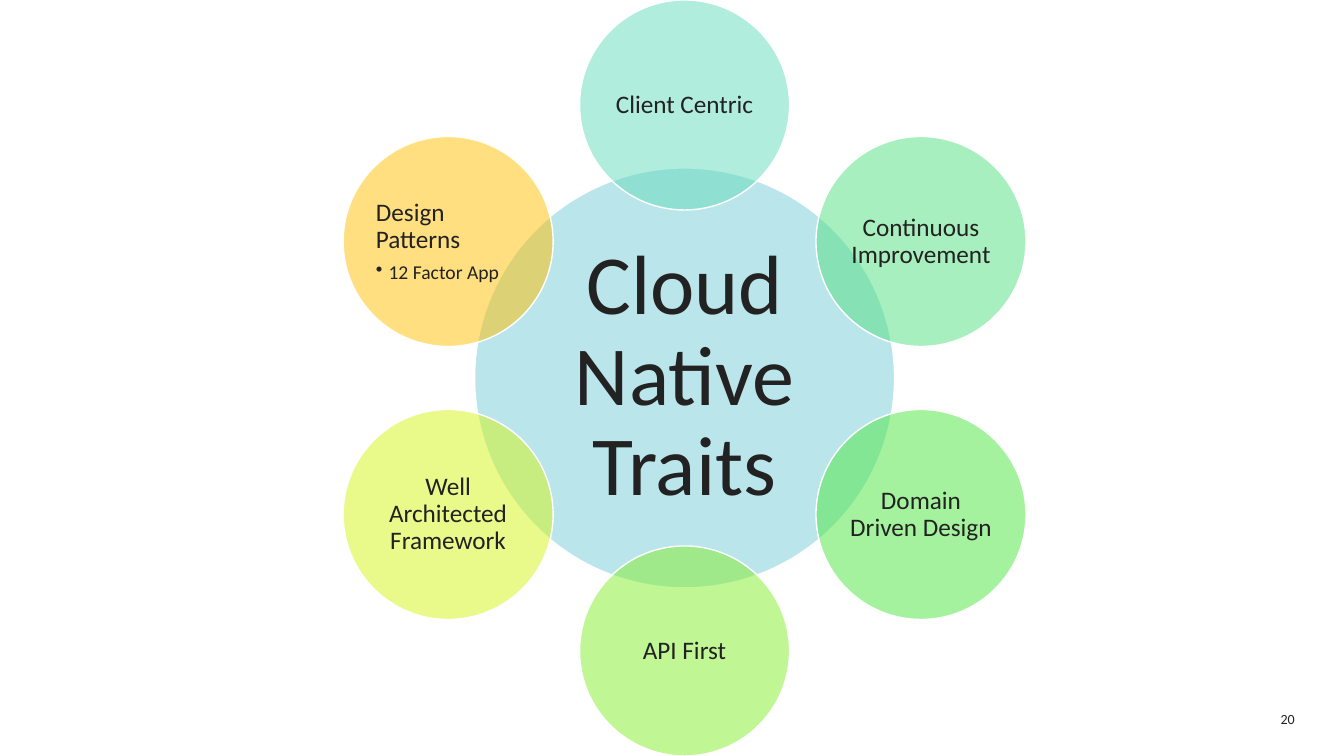
from math import cos, radians, sin

from pptx import Presentation
from pptx.dml.color import RGBColor
from pptx.enum.shapes import MSO_SHAPE as Shape
from pptx.enum.text import MSO_ANCHOR as Anchor, PP_ALIGN as Align
from pptx.oxml.ns import qn
from pptx.util import Pt
from lxml.etree import SubElement

PX = 9525
FONT, INK, WHITE = "Calibri", "222222", "FFFFFF"
CENTER_X, CENTER_Y, ORBIT = 652, 360, 260
HUB_SIZE, TRAIT_SIZE = 400, 200
TRAITS = [
    ("Client Centric", "65DCBB"),
    ("Continuous Improvement", "53E181"),
    ("Domain Driven Design", "4BE73F"),
    ("API First", "85EE2B"),
    ("Well Architected Framework", "D5F616"),
    ("Design Patterns", "FFC000"),
]


def px(*lengths):
    """Turn pixel lengths into EMU."""
    return [round(length * PX) for length in lengths]


def color(value):
    """Turn a hex string into a colour."""
    return RGBColor.from_string(value)


def set_frame(frame, inset):
    """Wrap and centre a text frame vertically with equal insets."""
    frame.word_wrap = True
    frame.vertical_anchor = Anchor.MIDDLE
    edge, = px(inset)
    frame.margin_left = frame.margin_right = edge
    frame.margin_top = frame.margin_bottom = edge


def write(para, text, size, align=Align.CENTER, spacing=0.9):
    """Fill a paragraph with one styled run."""
    para.alignment = align
    para.line_spacing = spacing
    span = para.add_run()
    span.text = text
    span.font.name, span.font.size = FONT, Pt(size)
    span.font.color.rgb = color(INK)


def add_circle(page, x, y, size, fill, text, points, inset, align=Align.CENTER):
    """Add a half transparent labelled circle centred on a point."""
    circle = page.shapes.add_shape(
        Shape.OVAL, *px(x - size / 2, y - size / 2, size, size))
    circle.shadow.inherit = False
    circle.fill.solid()
    circle.fill.fore_color.rgb = color(fill)
    tint = circle.fill._xPr.find(qn("a:solidFill"))[0]
    SubElement(tint, qn("a:alpha"), val="50000")
    circle.line.color.rgb = color(WHITE)
    circle.line.width = Pt(1)
    set_frame(circle.text_frame, inset)
    write(circle.text_frame.paragraphs[0], text, points, align)
    return circle


def add_bullet(frame, text, size):
    """Append a bulleted paragraph below the first one."""
    frame.paragraphs[0].space_after = Pt(6)
    para = frame.add_paragraph()
    para.level = 1
    write(para, text, size, Align.LEFT)
    indent, = px(12)
    props = para._p.get_or_add_pPr()
    props.set("marL", str(indent))
    props.set("indent", str(-indent))
    SubElement(props, qn("a:buChar"), char="•")


def add_page_number(page, text):
    """Add the page number at the lower right."""
    box = page.shapes.add_textbox(*px(1207, 673, 26, 23))
    set_frame(box.text_frame, 0)
    write(box.text_frame.paragraphs[0], text, 10, Align.RIGHT, 1.0)


def main():
    """Build the slide and save it."""
    deck = Presentation()
    deck.slide_width, deck.slide_height = px(1280, 720)
    page = deck.slides.add_slide(deck.slide_layouts[6])
    add_page_number(page, "20")
    add_circle(page, CENTER_X, CENTER_Y, HUB_SIZE, "76CDD8",
               "Cloud Native Traits", 60, 8)
    for index, (text, fill) in enumerate(TRAITS):
        angle = radians(index * 360 / len(TRAITS))
        x, y = CENTER_X + ORBIT * sin(angle), CENTER_Y - ORBIT * cos(angle)
        is_last = index == len(TRAITS) - 1
        align = Align.LEFT if is_last else Align.CENTER
        circle = add_circle(page, x, y, TRAIT_SIZE, fill, text, 18, 2, align)
    add_bullet(circle.text_frame, "12 Factor App", 14)
    deck.save("out.pptx")


if __name__ == "__main__":
    main()
